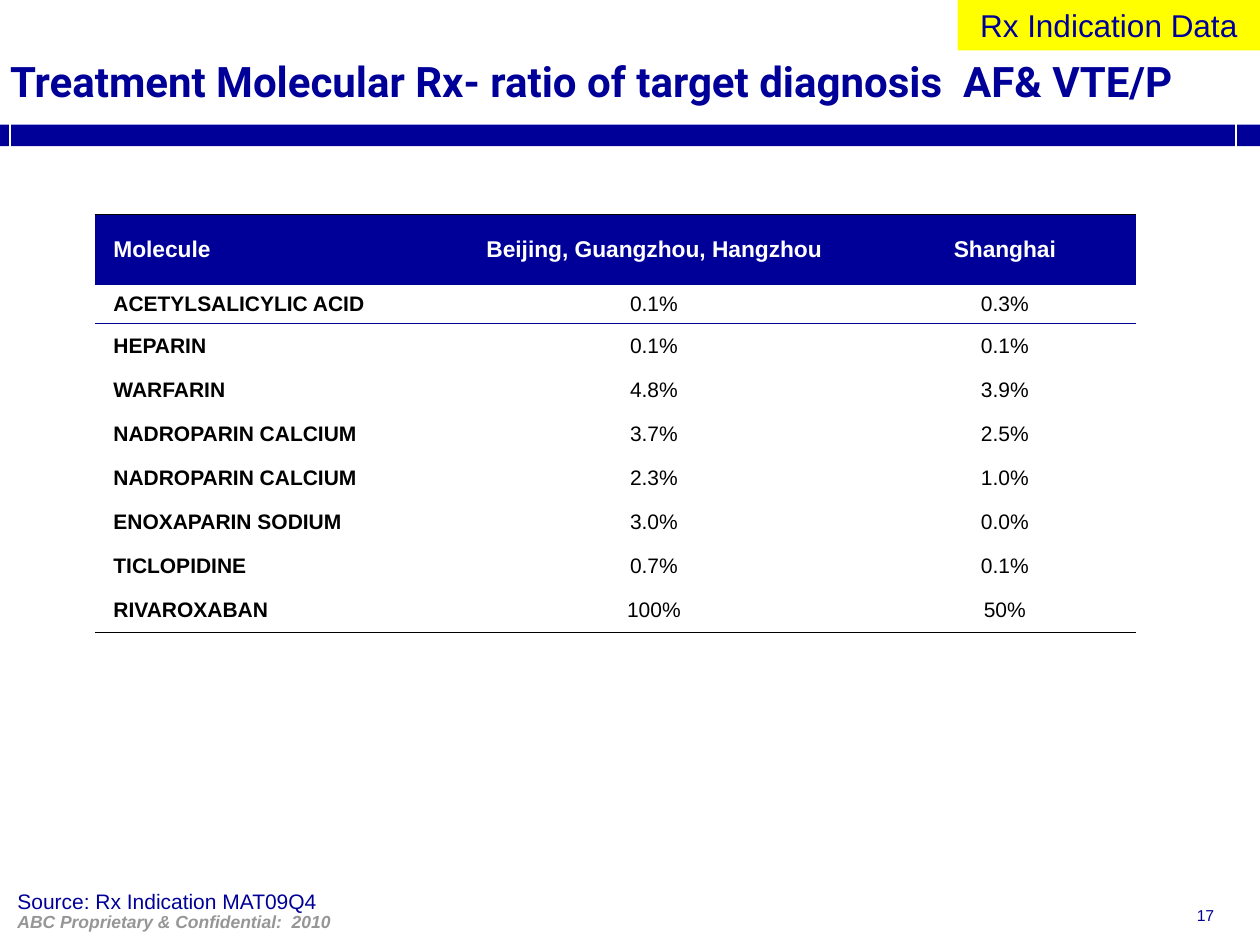
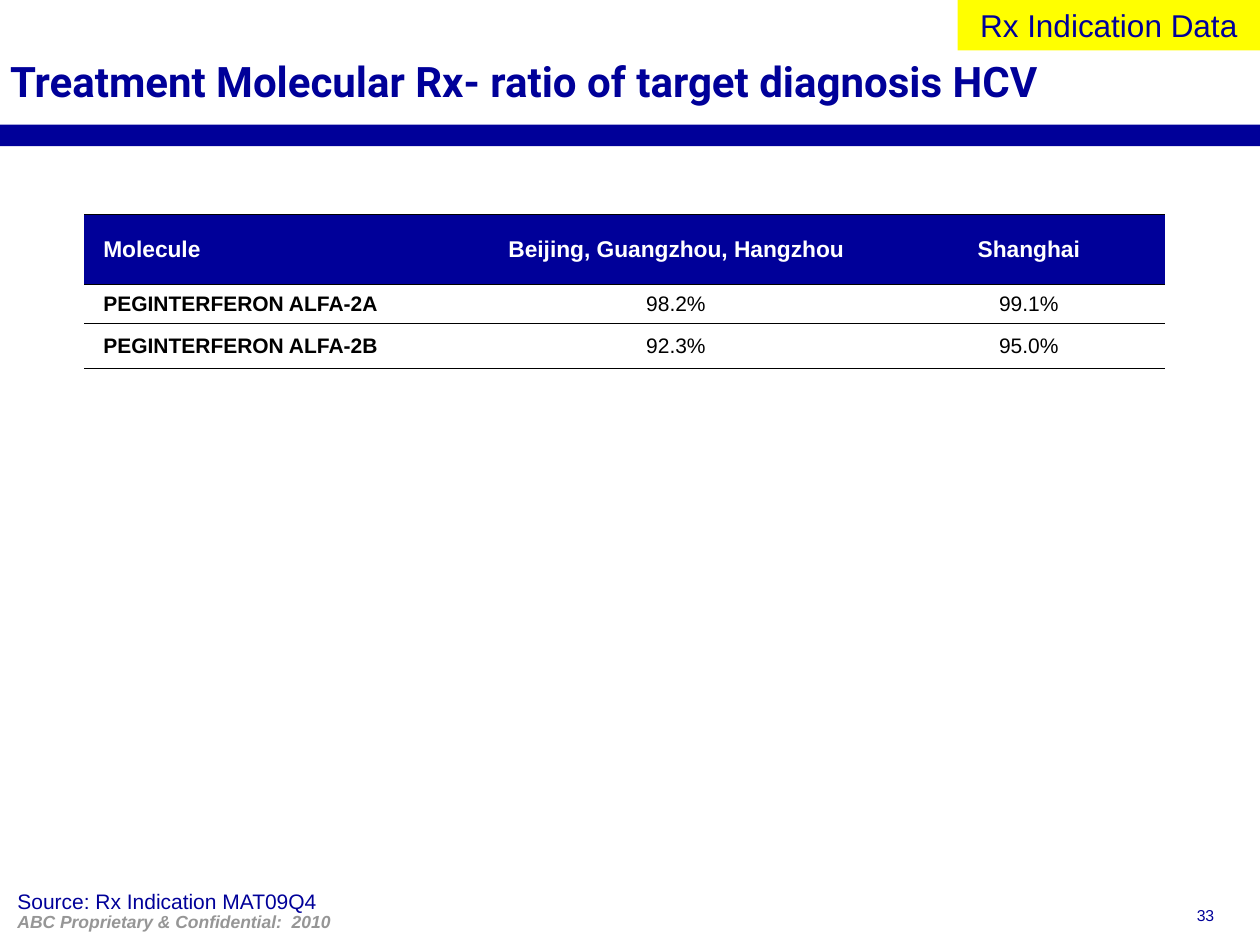
import pptx
import pptx.util
import pptx.dml.color
import pptx.enum.shapes
import pptx.enum.text
import pptx.oxml
import pptx.oxml.ns

Inches = pptx.util.Inches
Align = pptx.enum.text.PP_ALIGN
Anchor = pptx.enum.text.MSO_ANCHOR

NAVY, WHITE, BLACK, YELLOW, GREY = "000099", "FFFFFF", "000000", "FFFF00", "969696"
NO_GRID_STYLE = "{2D5ABB26-0587-4C30-8999-92F81FD0307C}"
HEADINGS = ("Molecule", "Beijing, Guangzhou, Hangzhou", "Shanghai")

# One entry per slide; column widths and positions are in inches
PAGES = [
    dict(
        title="Treatment Molecular Rx- ratio of target diagnosis  AF& VTE/P",
        title_height=0.8, number="17", left=0.75, columns=(2.7, 3.48, 2.09), header_rule=NAVY,
        molecules=[
            ("ACETYLSALICYLIC ACID", "0.1%", "0.3%"),
            ("HEPARIN", "0.1%", "0.1%"),
            ("WARFARIN", "4.8%", "3.9%"),
            ("NADROPARIN CALCIUM", "3.7%", "2.5%"),
            ("NADROPARIN CALCIUM", "2.3%", "1.0%"),
            ("ENOXAPARIN SODIUM", "3.0%", "0.0%"),
            ("TICLOPIDINE", "0.7%", "0.1%"),
            ("RIVAROXABAN", "100%", "50%"),
        ],
    ),
    dict(
        title="Treatment Molecular Rx- ratio of target diagnosis HCV",
        title_height=0.4, number="33", left=0.67, columns=(2.98, 3.43, 2.17), header_rule=BLACK,
        molecules=[
            ("PEGINTERFERON ALFA-2A", "98.2%", "99.1%"),
            ("PEGINTERFERON ALFA-2B", "92.3%", "95.0%"),
        ],
    ),
]


def rgb(value):
    return pptx.dml.color.RGBColor.from_string(value)


class Deck:
    """Holds the shared style and the slide being built."""

    def __init__(self):
        self.presentation = pptx.Presentation()
        self.presentation.slide_width = Inches(10)
        self.presentation.slide_height = Inches(7.5)
        self.slide = None

    def new_slide(self):
        layout = self.presentation.slide_layouts.get_by_name("Title Only")
        self.slide = self.presentation.slides.add_slide(layout)

    def add_text(self, frame, text, size, color, font="Arial", bold=False, italic=False,
                 align=Align.LEFT):
        paragraph = frame.paragraphs[0]
        paragraph.alignment = align
        run = paragraph.add_run()
        run.text = text
        run.font.name = font
        run.font.size = pptx.util.Pt(size)
        run.font.bold = bold
        run.font.italic = italic
        run.font.color.rgb = rgb(color)

    def title(self, text, height):
        title = self.slide.shapes.title
        title.left, title.top = Inches(0.08), Inches(0.44)
        title.width, title.height = Inches(9.73), Inches(height)
        title.line.color.rgb = rgb(WHITE)
        title.line.width = pptx.util.Pt(0.75)
        frame = title.text_frame
        frame.auto_size = pptx.enum.text.MSO_AUTO_SIZE.NONE
        frame.word_wrap = True
        frame.vertical_anchor = Anchor.TOP
        frame.margin_left = frame.margin_right = frame.margin_top = frame.margin_bottom = 0
        self.add_text(frame, text, 24, NAVY, font="Roboto", bold=True)
        # The white outline lies over the band
        self.slide.shapes._spTree.append(title._element)

    def block(self, left, top, width, height, fill):
        block = self.slide.shapes.add_shape(
            pptx.enum.shapes.MSO_SHAPE.RECTANGLE,
            Inches(left), Inches(top), Inches(width), Inches(height))
        block.shadow.inherit = False
        block.fill.solid()
        block.fill.fore_color.rgb = rgb(fill)
        block.line.fill.background()
        return block

    def label(self, text, left, top, width, height, size, color, wrap=True, **style):
        box = self.slide.shapes.add_textbox(
            Inches(left), Inches(top), Inches(width), Inches(height))
        box.text_frame.word_wrap = wrap
        self.add_text(box.text_frame, text, size, color, **style)

    def border(self, cell, side, color):
        line = pptx.oxml.parse_xml(
            f'<a:{side} {pptx.oxml.ns.nsdecls("a")} w="{pptx.util.Pt(0.45)}"><a:solidFill>'
            f'<a:srgbClr val="{color}"/></a:solidFill></a:{side}>')
        cell._tc.get_or_add_tcPr().insert(0, line)

    def ratio_table(self, left, columns, molecules, header_rule):
        rows = [HEADINGS, *molecules]
        heights = [0.56, 0.31] + [0.35] * (len(rows) - 2)
        table = self.slide.shapes.add_table(
            len(rows), len(columns), Inches(left), Inches(1.7),
            Inches(sum(columns)), Inches(sum(heights))).table
        table.first_row = table.horz_banding = False
        table._tbl.tblPr.find(pptx.oxml.ns.qn("a:tableStyleId")).text = NO_GRID_STYLE
        for column, width in zip(table.columns, columns):
            column.width = Inches(width)
        for row, height in zip(table.rows, heights):
            row.height = Inches(height)

        for r, values in enumerate(rows):
            header = r == 0
            for c, value in enumerate(values):
                cell = table.cell(r, c)
                cell.vertical_anchor = Anchor.MIDDLE
                if c == 0:
                    cell.margin_left = Inches(0.15)
                self.add_text(cell.text_frame, value, 13 if header else 12,
                              WHITE if header else BLACK, bold=header or c == 0,
                              align=Align.LEFT if c == 0 else Align.CENTER)
                if header:
                    cell.fill.solid()
                    cell.fill.fore_color.rgb = rgb(NAVY)
                    self.border(cell, "lnB", header_rule)
                    self.border(cell, "lnT", BLACK)
                else:
                    cell.fill.background()
                if r == len(rows) - 1:
                    self.border(cell, "lnB", BLACK)
                if r == 1:
                    self.border(cell, "lnT", header_rule)

    def band_and_footer(self, number):
        self.block(0, 0.99, 10, 0.17, NAVY)
        self.label(number, 9.4, 7.14, 0.77, 0.25, 9, NAVY, wrap=False)
        self.label("ABC Proprietary & Confidential:  2010", 0.04, 7.18, 6.22, 0.27,
                   10, GREY, bold=True, italic=True)

    def source_and_tag(self):
        self.label("Source: Rx Indication MAT09Q4", 0.04, 7, 6.46, 0.3, 12, NAVY)
        tag = self.block(7.6, 0, 2.4, 0.4, YELLOW)
        tag.text_frame.vertical_anchor = Anchor.MIDDLE
        self.add_text(tag.text_frame, "Rx Indication Data", 18, NAVY, align=Align.CENTER)


def main():
    deck = Deck()
    for page in PAGES:
        deck.new_slide()
        deck.band_and_footer(page["number"])
        deck.ratio_table(page["left"], page["columns"], page["molecules"], page["header_rule"])
        deck.title(page["title"], page["title_height"])
        deck.source_and_tag()
    deck.presentation.save("out.pptx")


if __name__ == "__main__":
    main()
